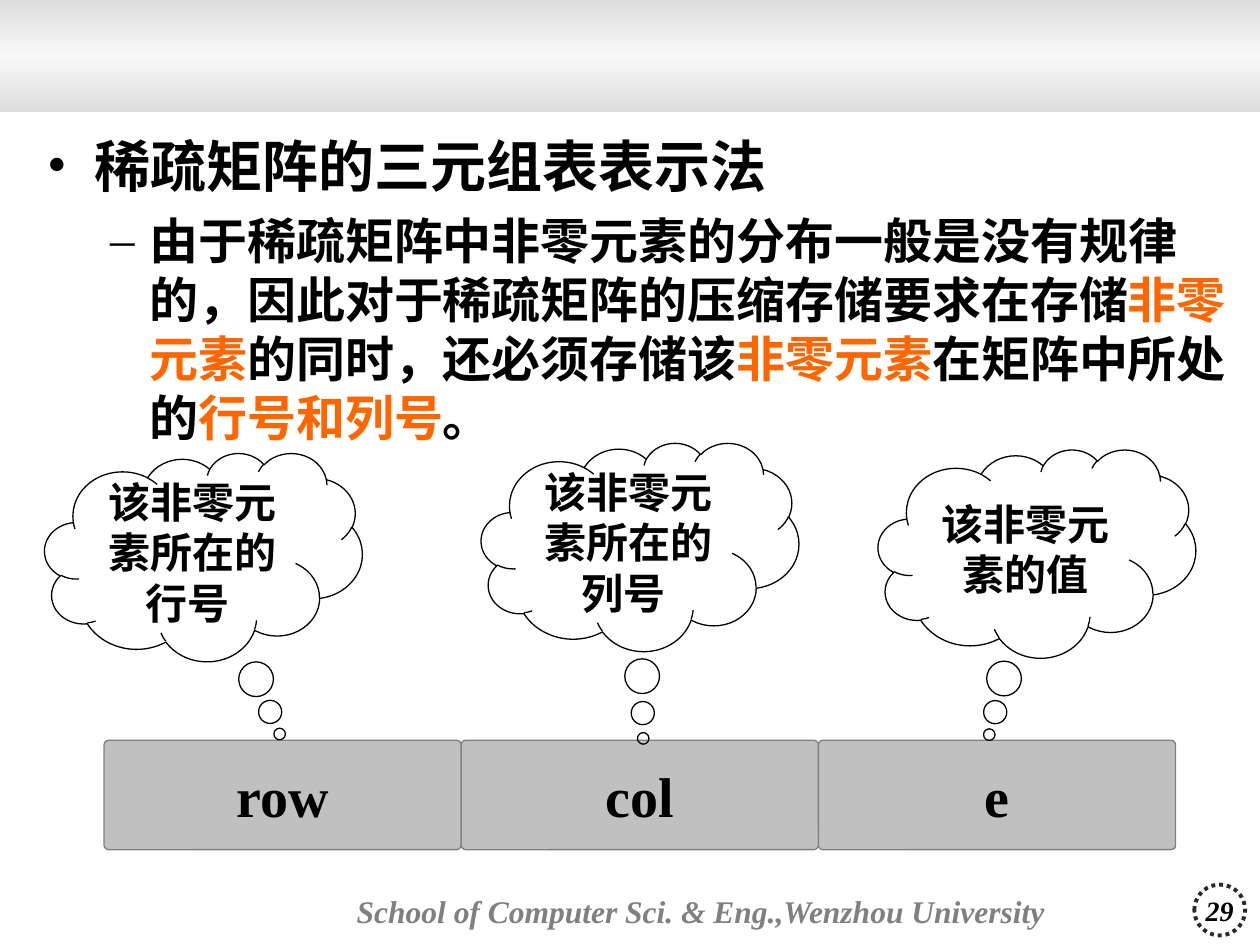
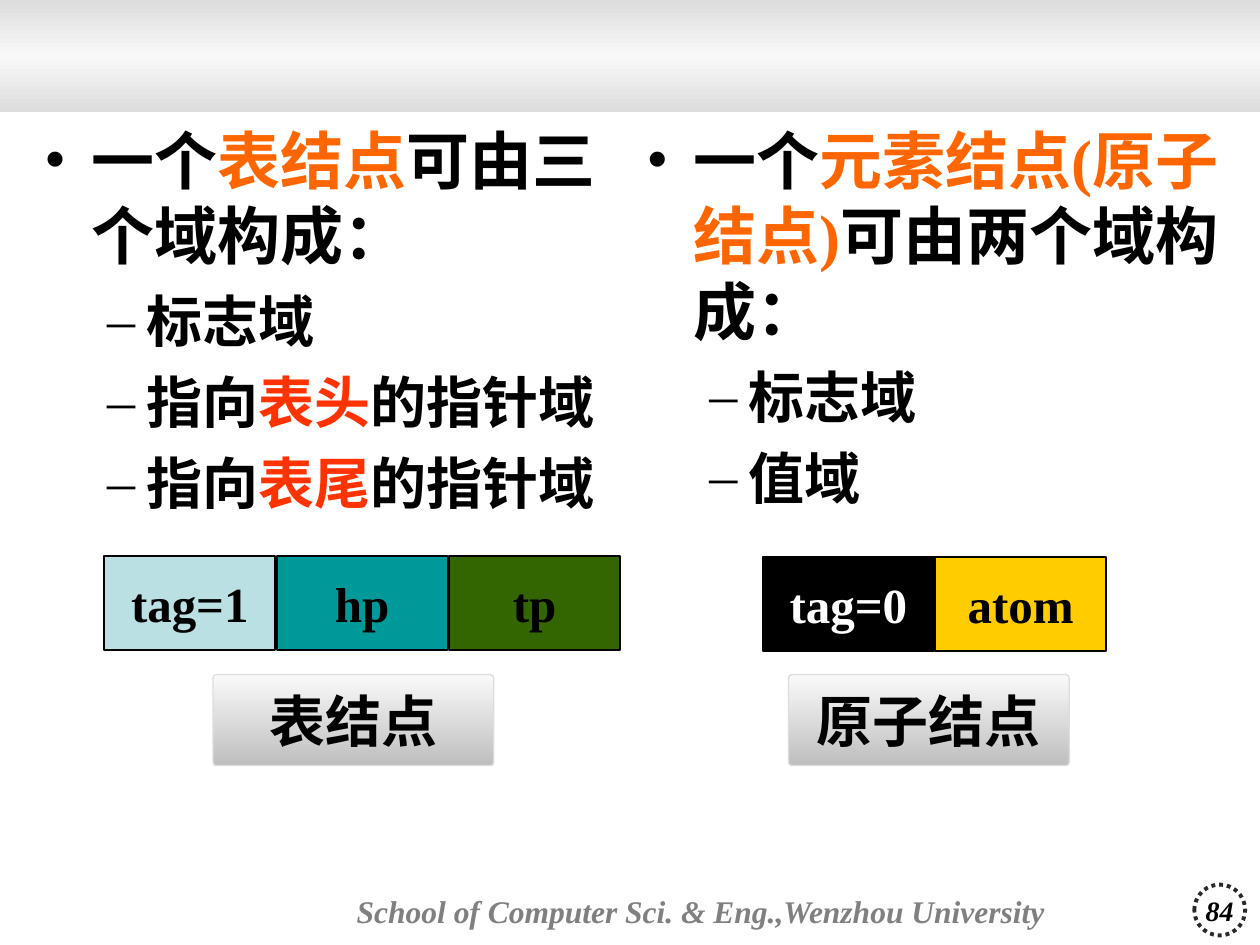
from lxml.etree import SubElement
from pptx import Presentation
from pptx.dml.color import RGBColor
from pptx.enum.dml import MSO_LINE_DASH_STYLE as Dash
from pptx.enum.shapes import MSO_SHAPE as Shape
from pptx.enum.text import MSO_ANCHOR as Anchor, PP_ALIGN as Align
from pptx.oxml.ns import qn
from pptx.util import Pt

BLACK, WHITE, GREY = "000000", "FFFFFF", "808080"
ORANGE, RED = "FF6600", "FF3300"
LATIN, CHINESE = "Times New Roman", "Noto Sans CJK SC"
BULLETS = [("•", 27, -27), ("–", 58.5, -22.5)]


def color(hex_code):
    return RGBColor.from_string(hex_code)


def write(paragraph, text, size=28, ink=BLACK, italic=False):
    run = paragraph.add_run()
    run.text = text
    font = run.font
    font.size, font.bold, font.italic = Pt(size), True, italic
    font.color.rgb = color(ink)
    font.name = LATIN
    SubElement(run._r.get_or_add_rPr(), qn("a:ea"), typeface=CHINESE)


def fill_gradient(shape, shades):
    shape.fill.gradient()
    shape.fill.gradient_angle = 270
    stops = shape._element.spPr.find(qn("a:gradFill")).find(qn("a:gsLst"))
    stops.clear()
    for index, shade in enumerate(shades):
        position = 100000 * index // (len(shades) - 1)
        stop = SubElement(stops, qn("a:gs"), pos=str(position))
        SubElement(stop, qn("a:srgbClr"), val=shade)


class Deck:
    def __init__(self):
        self.presentation = Presentation()
        self.presentation.slide_width = Pt(720)
        self.presentation.slide_height = Pt(540)
        self.slide = None

    def new_slide(self, number):
        blank = self.presentation.slide_layouts[6]
        self.slide = self.presentation.slides.add_slide(blank)
        self.shape(Shape.RECTANGLE, (0, 0, 720, 64), fill=["DDDDDD", "F8F8F8", "DDDDDD"])
        self.shape(Shape.ROUNDED_RECTANGLE, (200, 497, 431.5, 47.5),
                   "School of Computer Sci. & Eng.,Wenzhou University", adjust=[0.02],
                   inset=(3.6, 1.4), align=Align.LEFT, size=18, ink=GREY, italic=True)
        badge = self.shape(Shape.OVAL, (682.5, 505.5, 29, 29), str(number),
                           line=("292929", 2.25), size=16, italic=True)
        badge.line.dash_style = Dash.ROUND_DOT

    def shape(self, kind, box, text="", fill=None, line=None, adjust=(), wrap=False,
              inset=(7.2, 3.6), align=Align.CENTER, **text_format):
        shape = self.slide.shapes.add_shape(kind, *map(Pt, box))
        shape.shadow.inherit = False
        for index, value in enumerate(adjust):
            shape.adjustments[index] = value
        if isinstance(fill, list):
            fill_gradient(shape, fill)
        elif fill:
            shape.fill.solid()
            shape.fill.fore_color.rgb = color(fill)
        else:
            shape.fill.background()
        if line:
            shape.line.color.rgb = color(line[0])
            shape.line.width = Pt(line[1])
        else:
            shape.line.fill.background()
        if text:
            frame = shape.text_frame
            frame.word_wrap, frame.vertical_anchor = wrap, Anchor.MIDDLE
            frame.margin_left = frame.margin_right = Pt(inset[0])
            frame.margin_top = frame.margin_bottom = Pt(inset[1])
            frame.paragraphs[0].alignment = align
            write(frame.paragraphs[0], text, **text_format)
        return shape

    def bullets(self, box, sizes, items):
        frame = self.slide.shapes.add_textbox(*map(Pt, box)).text_frame
        frame.word_wrap = True
        for index, (level, spans) in enumerate(items):
            paragraph = frame.add_paragraph() if index else frame.paragraphs[0]
            mark, margin, indent = BULLETS[level]
            properties = paragraph._p.get_or_add_pPr()
            properties.set("marL", str(Pt(margin)))
            properties.set("indent", str(Pt(indent)))
            properties.set("hangingPunct", "0")
            tint = SubElement(properties, qn("a:buClr"))
            SubElement(tint, qn("a:srgbClr"), val=BLACK)
            SubElement(properties, qn("a:buFont"), typeface=LATIN)
            SubElement(properties, qn("a:buChar"), char=mark)
            paragraph.level = level
            if index:
                paragraph.space_before = Pt(sizes[level] / 4)
            for text, ink in spans:
                write(paragraph, text, size=sizes[level], ink=ink)

    def field(self, left, top, width, text, fill, ink=BLACK):
        self.shape(Shape.RECTANGLE, (left, top, width, 53.7), text, fill=fill,
                   line=(BLACK, 1), ink=ink)

    def caption(self, left, text):
        self.shape(Shape.ROUNDED_RECTANGLE, (left, 385.5, 160.5, 52), text,
                   fill=["F9F9F9", "BFBFBF"], line=("DDDDDD", 0.75), adjust=[0.04],
                   inset=(3.6, 1.4), size=32)


def triple_slide(deck):
    deck.new_slide(29)
    triple_width = 204.1
    for index, name in enumerate(["row", "col", "e"]):
        deck.shape(Shape.ROUNDED_RECTANGLE, (59.5 + index * triple_width, 423, triple_width, 62.5),
                   name, fill="C0C0C0", line=(GREY, 0.75), adjust=[0.04],
                   inset=(3.6, 1.4), size=32)
    thoughts = [
        (25.5, 258.8, "该非零元素所在的行号 ", (0.24, 0.85)),
        (275, 253, "该非零元素所在的列号 ", (0.01, 0.92)),
        (501.8, 256.8, "该非零元素的值", (-0.15, 0.87)),
    ]
    for left, top, meaning, tail in thoughts:
        deck.shape(Shape.CLOUD_CALLOUT, (left, top, 181.5, 119), meaning,
                   line=(BLACK, 0.75), adjust=tail, wrap=True, size=24)
    deck.bullets((19.8, 71.5, 692, 187), (32, 28), [
        (0, [("稀疏矩阵的三元组表表示法", BLACK)]),
        (1, [("由于稀疏矩阵中非零元素的分布一般是没有规律的，"
              "因此对于稀疏矩阵的压缩存储要求在存储", BLACK),
             ("非零元素", ORANGE), ("的同时，还必须存储该", BLACK),
             ("非零元素", ORANGE), ("在矩阵中所处的", BLACK),
             ("行号和列号", ORANGE), ("。", BLACK)]),
    ])


def node_slide(deck):
    deck.new_slide(84)
    nodes = [
        (59.6, 317.8, [("tag=1", "BBE0E3", BLACK), ("hp", "009999", BLACK),
                       ("tp", "336600", BLACK)]),
        (435.9, 318.4, [("tag=0", BLACK, WHITE), ("atom", "FFCC00", BLACK)]),
    ]
    for left, top, fields in nodes:
        for index, (name, fill, ink) in enumerate(fields):
            deck.field(left + index * 98.5, top, 97.7, name, fill, ink)
    deck.caption(121.7, "表结点")
    deck.caption(450.6, "原子结点")

    pointers = [(1, [("指向", BLACK), (end, RED), ("的指针域", BLACK)])
                for end in ("表头", "表尾")]
    tag = (1, [("标志域", BLACK)])
    deck.bullets((18.2, 65.8, 353, 429), (36, 32), [
        (0, [("一个", BLACK), ("表结点", ORANGE), ("可由三个域构成：", BLACK)]),
        tag, *pointers,
    ])
    deck.bullets((362.3, 65.8, 349, 418), (36, 32), [
        (0, [("一个", BLACK), ("元素结点(原子结点)", ORANGE), ("可由两个域构成：", BLACK)]),
        tag, (1, [("值域", BLACK)]),
    ])


def main():
    deck = Deck()
    triple_slide(deck)
    node_slide(deck)
    deck.presentation.save("out.pptx")


if __name__ == "__main__":
    main()
